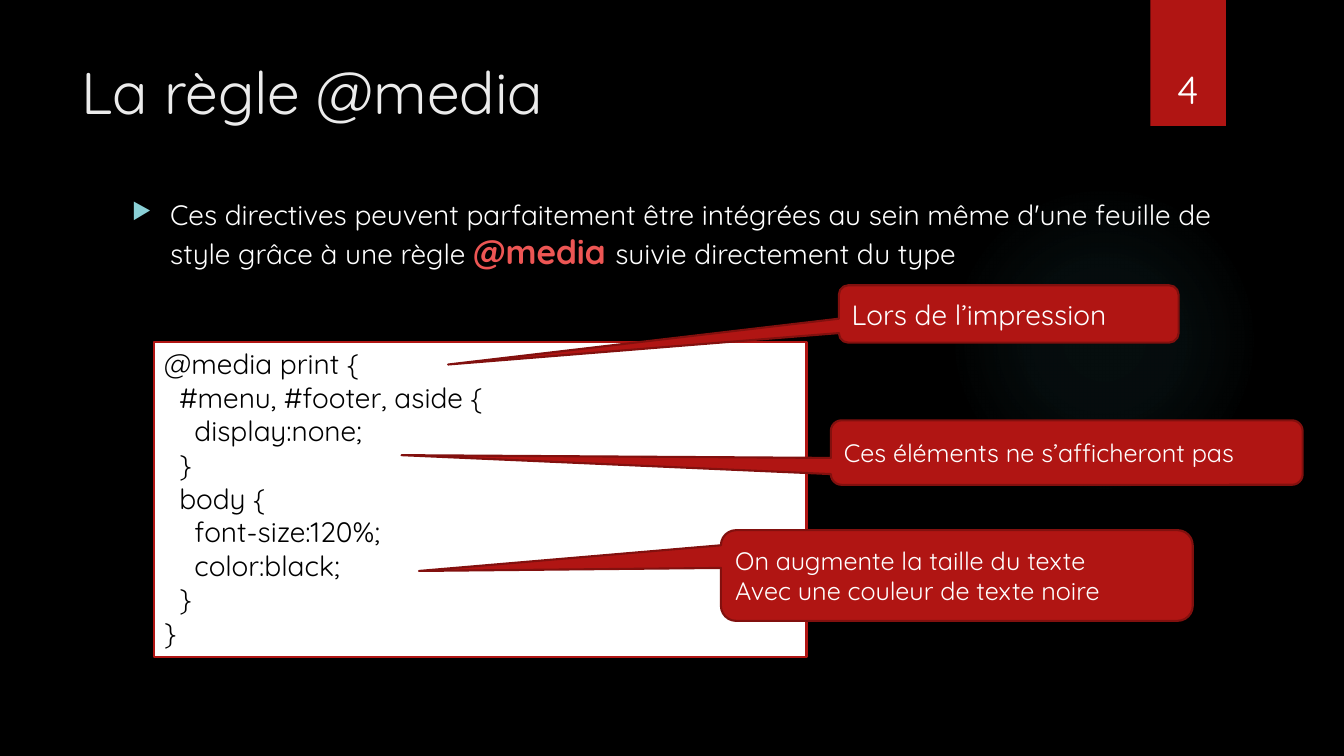
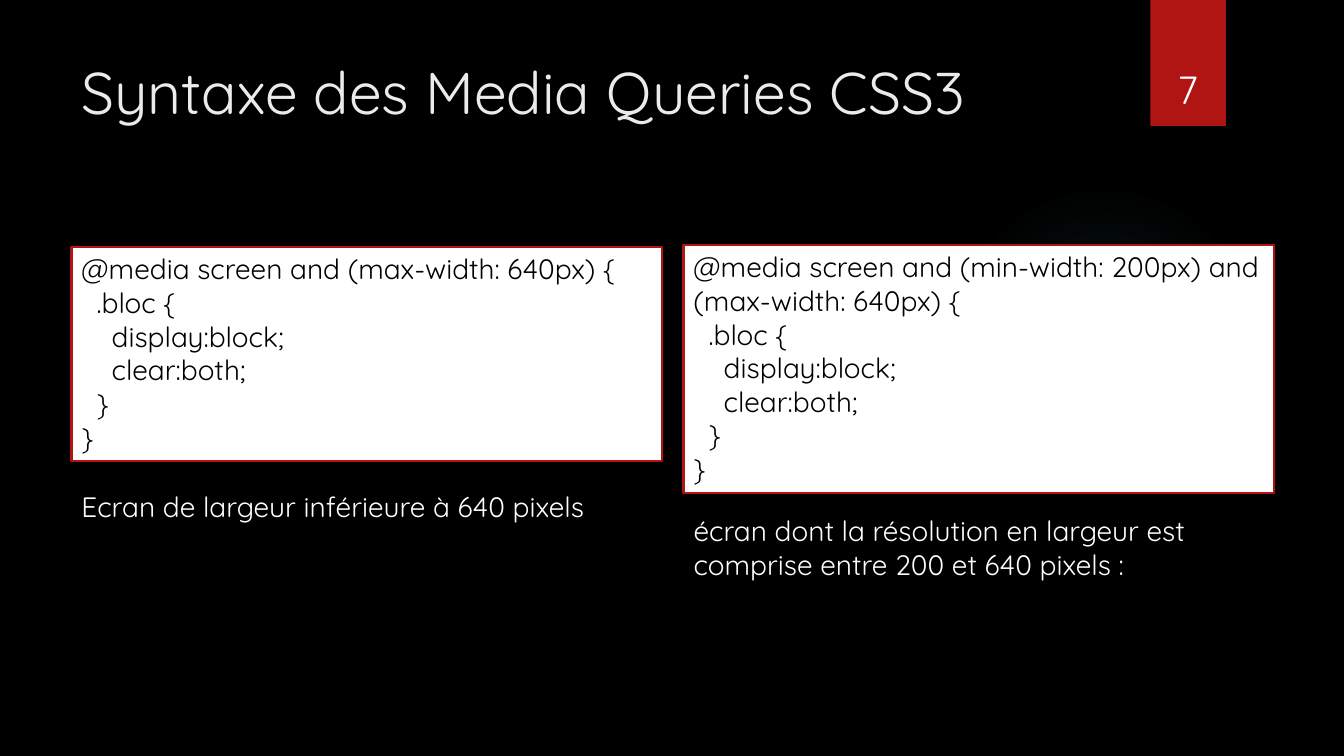
"""Build two slides on CSS media rules."""
from lxml import etree
from pptx import Presentation
from pptx import util as u
from pptx.dml.color import RGBColor
from pptx.enum import shapes, text
from pptx.oxml import parse_xml
from pptx.oxml.ns import qn

FONT = "Quicksand"
COLORS = {
    "back": "000000", "code": "000000", "paper": "FFFFFF", "text": "FFFFFF",
    "title": "EBEBEB", "red": "B01513", "edge": "82100E",
    "accent": "ED5654", "bullet": "8AD0D6", "glow": "50B9C1",
}
GLOW = ((0, 7), (36, 6), (69, 0))
STEP = 0.15
NS = "http://schemas.openxmlformats.org/drawingml/2006/main"
KIND = shapes.MSO_SHAPE
ANCHOR = text.MSO_ANCHOR


def rgb(name):
    return RGBColor.from_string(COLORS[name])


def style(font, size, color, bold=False):
    font.name = FONT
    font.size = u.Pt(size)
    font.bold = bold
    font.color.rgb = rgb(color)


def add_shape(slide, kind, box, fill, line=None):
    shape = slide.shapes.add_shape(kind, *map(u.Inches, box))
    shape.shadow.inherit = False
    shape.fill.solid()
    shape.fill.fore_color.rgb = rgb(fill)
    if line:
        shape.line.color.rgb = rgb(line)
        shape.line.width = u.Pt(1.5)
    else:
        shape.line.fill.background()
    return shape


def write(shape, lines, size, color, anchor=ANCHOR.TOP, align=text.PP_ALIGN.LEFT):
    frame = shape.text_frame
    frame.word_wrap = True
    frame.vertical_anchor = anchor
    frame.text = "\n".join(lines)
    for para in frame.paragraphs:
        para.alignment = align
        style(para.font, size, color)
    return frame


def add_text(slide, box, words, size=20, color="text", **place):
    shape = slide.shapes.add_textbox(*map(u.Inches, box))
    return write(shape, [words], size, color, **place)


def add_glow(slide):
    oval = add_shape(slide, KIND.OVAL, (9.41, 1.83, 3.08, 3.08), "glow")
    stops = "".join(
        f'<a:gs pos="{pos * 1000}"><a:srgbClr val="{COLORS["glow"]}">'
        f'<a:alpha val="{alpha * 1000}"/></a:srgbClr></a:gs>'
        for pos, alpha in GLOW)
    grad = parse_xml(
        f'<a:gradFill xmlns:a="{NS}"><a:gsLst>{stops}</a:gsLst><a:path path="circle">'
        '<a:fillToRect l="50000" t="50000" r="50000" b="50000"/></a:path></a:gradFill>')
    props = oval._element.spPr
    props.replace(props.find(qn("a:solidFill")), grad)


def add_bullet(slide, box, parts):
    shape = slide.shapes.add_textbox(*map(u.Inches, box))
    shape.text_frame.word_wrap = True
    para = shape.text_frame.paragraphs[0]
    props = para._p.get_or_add_pPr()
    props.set("marL", str(u.Inches(0.38)))
    props.set("indent", str(u.Inches(-0.38)))
    tint = etree.SubElement(props, qn("a:buClr"))
    etree.SubElement(tint, qn("a:srgbClr"), val=COLORS["bullet"])
    etree.SubElement(props, qn("a:buSzPct"), val="80000")
    etree.SubElement(props, qn("a:buChar"), char="▶")
    for words, size, color, bold in parts:
        run = para.add_run()
        run.text = words
        style(run.font, size, color, bold)


def add_code(slide, box, lines):
    panel = add_shape(slide, KIND.RECTANGLE, box, "paper", "red")
    frame = write(panel, [line for _, line in lines], 20, "code")
    for para, (level, _) in zip(frame.paragraphs, lines):
        para._p.get_or_add_pPr().set("marL", str(u.Inches(level * STEP)))


def add_callout(slide, box, tip, lines, size=18):
    kind = KIND.ROUNDED_RECTANGULAR_CALLOUT
    bubble = add_shape(slide, kind, box, "red", "edge")
    bubble.adjustments[0], bubble.adjustments[1] = tip
    write(bubble, lines, size, "text", ANCHOR.MIDDLE)


def add_slide(deck, title, number):
    slide = deck.slides.add_slide(deck.slide_layouts[6])
    slide.background.fill.solid()
    slide.background.fill.fore_color.rgb = rgb("back")
    add_glow(slide)
    add_shape(slide, KIND.RECTANGLE, (11.41, 0, 0.75, 1.25), "red")
    add_text(slide, (0.71, 0.5, 10.29, 1.53), title, 42, "title")
    add_text(slide, (11.32, 0.32, 0.92, 0.84), number, 28,
             anchor=ANCHOR.BOTTOM, align=text.PP_ALIGN.CENTER)
    return slide


def add_rule(deck):
    slide = add_slide(deck, "La règle @media", "4")
    add_bullet(slide, (1.21, 1.91, 11.27, 1.48), [
        ("Ces directives peuvent parfaitement être intégrées au sein même "
         "d'une feuille de style grâce à une règle ", 20, "text", False),
        ("@media ", 24, "accent", True),
        ("suivie directement du type", 20, "text", False),
    ])
    add_code(slide, (1.53, 3.39, 6.47, 3.13), [
        (0, "@media print {"),
        (1, "#menu, #footer, aside {"),
        (2, "display:none;"),
        (1, "}"),
        (1, "body {"),
        (2, "font-size:120%;"),
        (2, "color:black;"),
        (1, "}"),
        (0, "}"),
    ])
    add_callout(slide, (8.32, 2.83, 3.37, 0.57), (-1.65, 0.88),
                ["Lors de l’impression"], 20)
    add_callout(slide, (8.24, 4.17, 4.68, 0.64), (-1.41, 0.04),
                ["Ces éléments ne s’afficheront pas"])
    add_callout(slide, (7.15, 5.26, 4.68, 0.9), (-1.14, -0.05),
                ["On augmente la taille du texte", "Avec une couleur de texte noire"])


def add_syntax(deck):
    slide = add_slide(deck, "Syntaxe des Media Queries CSS3", "7")
    block = [(1, ".bloc {"), (2, "display:block;"), (2, "clear:both;"), (1, "}"), (0, "}")]
    samples = [
        (0.71, 2.45, 2.12, 4.81, "@media screen and (max-width: 640px) {",
         "Ecran de largeur inférieure à 640 pixels"),
        (6.78, 2.43, 2.46, 5.05,
         "@media screen and (min-width: 200px) and (max-width: 640px) {",
         "écran dont la résolution en largeur est comprise entre 200 et 640 pixels :"),
    ]
    for left, top, high, below, query, note in samples:
        add_code(slide, (left, top, 5.86, high), [(0, query)] + block)
        add_text(slide, (left, below, 6.12, 0.7), note)


def main():
    deck = Presentation()
    deck.slide_width, deck.slide_height = u.Inches(13.33), u.Inches(7.5)
    add_rule(deck)
    add_syntax(deck)
    deck.save("out.pptx")


if __name__ == "__main__":
    main()
